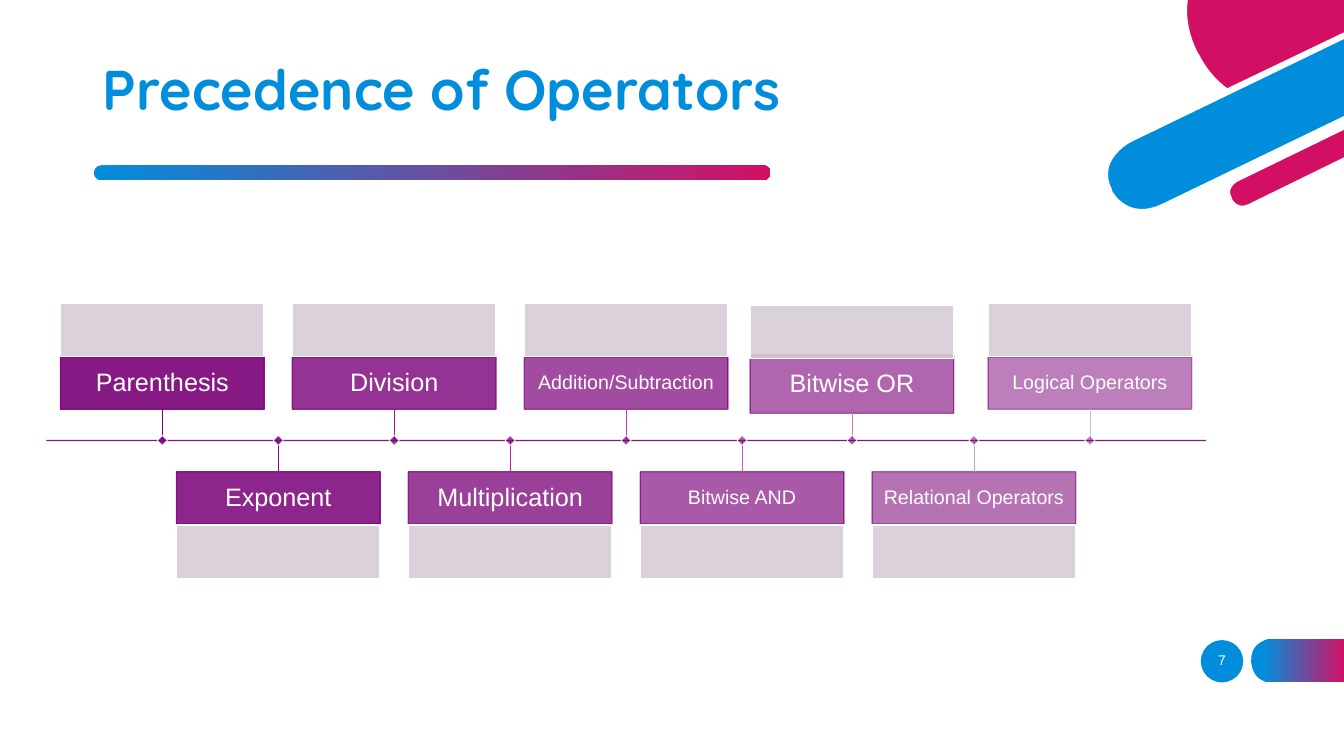
from lxml import etree
from pptx import Presentation
from pptx.dml.color import RGBColor
from pptx.enum.shapes import MSO_CONNECTOR as Connector, MSO_SHAPE as Shape
from pptx.enum.text import MSO_ANCHOR as Anchor, PP_ALIGN as Align
from pptx.oxml.ns import qn
from pptx.util import Inches, Pt

COLORS = {
    "blue": "008EDC",
    "red": "D30F64",
    "purple": "7A0078",
    "pale": "D7CCD6",
    "white": "FFFFFF",
}

# Operator, text size, connector colour
OPERATORS = [
    ("Parenthesis", 18, "750073"),
    ("Exponent", 18, "8F088C"),
    ("Division", 18, "A514A2"),
    ("Multiplication", 18, "B824B4"),
    ("Addition/Subtraction", 14, "C737C3"),
    ("Bitwise AND", 14, "C35DC0"),
    ("Bitwise OR", 18, "C281C0"),
    ("Relational Operators", 14, "C5A0C3"),
    ("Logical Operators", 14, "CBBCCB"),
]
BOX_WIDTH, BOX_HEIGHT, PALE_HEIGHT = 2.02, 0.52, 0.53
FIRST_LEFT, STEP = 0.6, 1.15
AXIS_Y, MARKER = 4.37, 0.07

# Outlines: two numbers are a point, six are a cubic curve
RED_DISC = [(11.88, 0.56), (11.88, 0.56, 11.97, 0.76, 12.17, 0.9),
            (13.36, 0.33), (13.36, -0.03), (11.76, -0.03), (11.76, 0),
            (11.74, 0.15, 11.76, 0.33, 11.86, 0.53)]
BLUE_BAND = [(11.21, 1.39), (11.21, 1.39, 10.85, 1.57, 11.01, 1.89),
             (11.01, 1.9), (11.01, 1.9, 11.17, 2.22, 11.54, 2.04),
             (13.36, 1.16), (13.36, 0.35)]
RED_BAND = [(13.36, 1.25), (12.27, 1.78),
            (12.27, 1.78, 12.13, 1.85, 12.2, 1.97), (12.2, 1.98),
            (12.2, 1.98, 12.26, 2.11, 12.4, 2.04), (13.36, 1.57)]
PAGE_TAB = [(12.62, 6.77), (13.34, 6.77), (13.34, 6.34), (12.62, 6.34),
            (12.62, 6.34, 12.41, 6.34, 12.41, 6.55), (12.41, 6.56),
            (12.41, 6.56, 12.41, 6.77, 12.62, 6.77)]


def rgb(name):
    return RGBColor.from_string(COLORS.get(name, name))


def set_opacity(color_format_fill, percent):
    """Make a solid fill partly transparent."""
    color = next(color_format_fill.iter(qn("a:srgbClr")))
    etree.SubElement(color, qn("a:alpha")).set("val", str(percent * 1000))


def paint(shape, fill, line=None, width=1, opacity=100, line_opacity=100):
    shape.shadow.inherit = False
    shape.fill.solid()
    shape.fill.fore_color.rgb = rgb(fill)
    if opacity < 100:
        set_opacity(shape.element.spPr.find(qn("a:solidFill")), opacity)
    if line is None:
        shape.line.fill.background()
        return
    shape.line.color.rgb = rgb(line)
    shape.line.width = Pt(width)
    if line_opacity < 100:
        set_opacity(shape.element.spPr.find(qn("a:ln")), line_opacity)


def paint_gradient(shape, start=0):
    shape.shadow.inherit = False
    shape.line.fill.background()
    shape.fill.gradient()
    shape.fill.gradient_angle = 0
    for stop, name, position in zip(shape.fill.gradient_stops, ("blue", "red"), (start, 1)):
        stop.color.rgb = rgb(name)
        stop.position = position


def add_preset(page, kind, left, top, width, height):
    return page.shapes.add_shape(kind, Inches(left), Inches(top), Inches(width), Inches(height))


def curve_points(start, curve, count=16):
    """Return points along a cubic curve."""
    x1, y1, x2, y2, x3, y3 = curve
    points = []
    for number in range(1, count + 1):
        t = number / count
        weights = ((1 - t) ** 3, 3 * t * (1 - t) ** 2, 3 * t * t * (1 - t), t ** 3)
        points.append((sum(w * x for w, x in zip(weights, (start[0], x1, x2, x3))),
                       sum(w * y for w, y in zip(weights, (start[1], y1, y2, y3)))))
    return points


def add_outline(page, outline):
    points = [outline[0]]
    for part in outline[1:]:
        points += [part] if len(part) == 2 else curve_points(points[-1], part)
    places = [(Inches(x), Inches(y)) for x, y in points]
    builder = page.shapes.build_freeform(*places[0])
    builder.add_line_segments(places[1:], close=True)
    return builder.convert_to_shape()


def add_line(page, start, end, color, width):
    line = page.shapes.add_connector(Connector.STRAIGHT, *map(Inches, start + end))
    line.line.color.rgb = rgb(color)
    line.line.width = Pt(width)
    etree.SubElement(line.element.spPr, qn("a:effectLst"))
    return line


def write(shape, text, size, inset):
    frame = shape.text_frame
    frame.word_wrap = True
    frame.vertical_anchor = Anchor.MIDDLE
    frame.margin_left = frame.margin_right = Inches(inset)
    frame.margin_top = frame.margin_bottom = Inches(inset)
    para = frame.paragraphs[0]
    para.alignment = Align.CENTER
    para.line_spacing = 0.9
    span = para.add_run()
    span.text = text
    span.font.size = Pt(size)
    span.font.name = "Arial"
    span.font.color.rgb = rgb("white")


def add_decoration(page):
    for outline, color in ((BLUE_BAND, "blue"), (RED_DISC, "red"), (RED_BAND, "red")):
        paint(add_outline(page, outline), color, "white", 3)
    bar = add_preset(page, Shape.ROUNDED_RECTANGLE, 0.93, 1.64, 6.71, 0.15)
    bar.adjustments[0] = 0.5
    paint_gradient(bar)
    paint_gradient(add_outline(page, PAGE_TAB), 0.12)
    badge = add_preset(page, Shape.OVAL, 11.91, 6.35, 0.42, 0.42)
    paint(badge, "blue")
    write(badge, "7", 10, 0)


def set_title(page, text):
    title = page.shapes.title
    title.left, title.top = Inches(0.92), Inches(0.4)
    title.width, title.height = Inches(9.9), Inches(1.03)
    title.text_frame.vertical_anchor = Anchor.MIDDLE
    para = title.text_frame.paragraphs[0]
    para.alignment = Align.LEFT
    para.line_spacing = 0.9
    span = para.add_run()
    span.text = text
    span.font.name = "Quicksand"
    span.font.size = Pt(40)
    span.font.bold = True
    span.font.color.rgb = rgb("blue")


def add_operator(page, index, text, size, color):
    """Add a box, its pale panel, and the link and marker on the timeline."""
    above = index % 2 == 0
    left = FIRST_LEFT + STEP * index
    top, height = (3.54 if above else 4.68), BOX_HEIGHT
    panel_top = 3.01 if above else 5.21
    if text == "Bitwise OR":
        left, top, height, panel_top = 7.44, 3.52, 0.58, 3.03
    opacity = 90 - 5 * index
    box = add_preset(page, Shape.RECTANGLE, left, top, BOX_WIDTH, height)
    paint(box, "purple", "purple", 1, opacity, opacity)
    write(box, text, size, 0.1 if size == 18 else 0.08)
    panel = add_preset(page, Shape.RECTANGLE, left, panel_top, BOX_WIDTH, PALE_HEIGHT)
    paint(panel, "pale", "white", 1, 90)

    center = left + BOX_WIDTH / 2
    edge = top + height if above else top
    link = add_line(page, (center, edge), (center, AXIS_Y), color, 0.5)
    link.begin_connect(box, 2 if above else 0)
    marker = add_preset(page, Shape.RECTANGLE, center - MARKER / 2, AXIS_Y - MARKER / 2,
                        MARKER, MARKER)
    marker.rotation = 45
    paint(marker, "purple", "white", 0.5, opacity)


def main():
    deck = Presentation()
    deck.slide_width, deck.slide_height = Inches(13.33), Inches(7.5)
    page = deck.slides.add_slide(deck.slide_layouts[5])
    add_decoration(page)
    set_title(page, "Precedence of Operators")
    axis = add_line(page, (0.46, AXIS_Y), (11.96, AXIS_Y), "purple", 1)
    set_opacity(axis.element.spPr.find(qn("a:ln")), 90)
    for index, operator in enumerate(OPERATORS):
        add_operator(page, index, *operator)
    deck.save("out.pptx")


if __name__ == "__main__":
    main()
